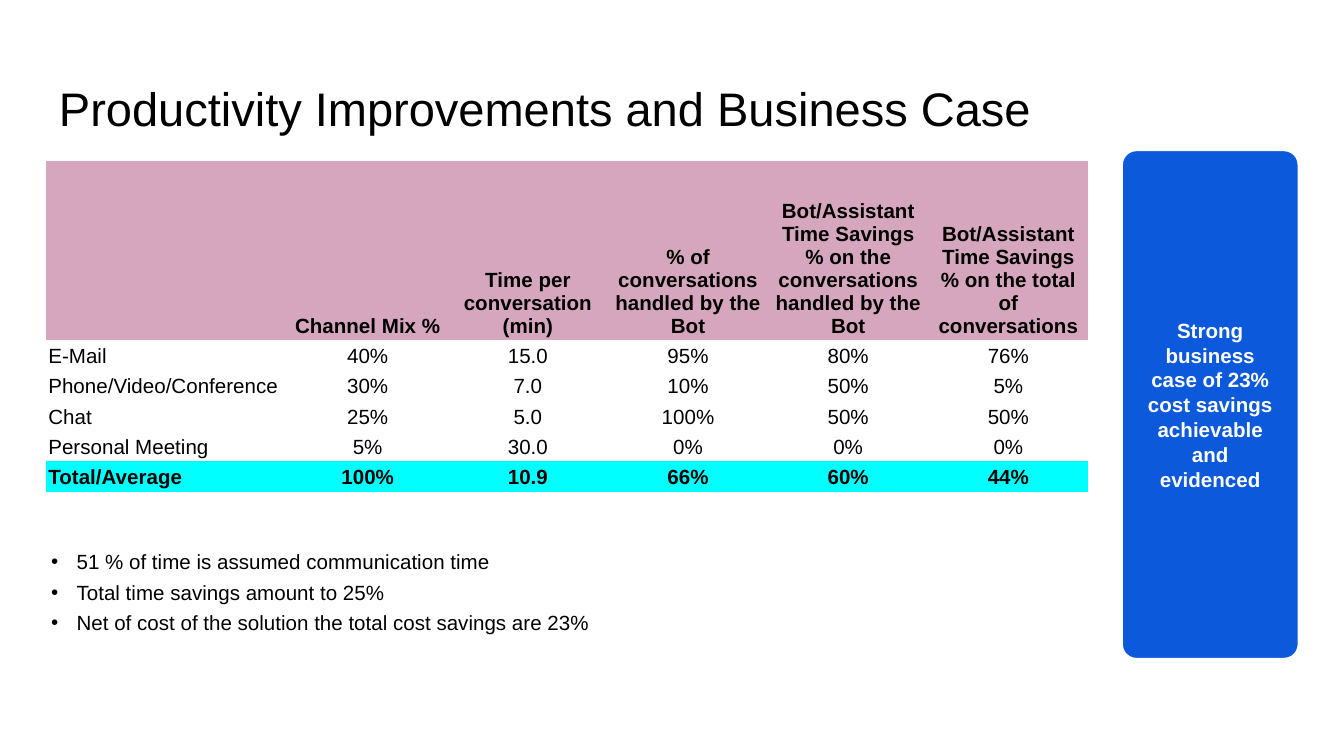
"""Builds a slide with a table of productivity gains and its business case."""

from dataclasses import dataclass

from lxml.etree import SubElement
from pptx import Presentation
from pptx.dml.color import RGBColor
from pptx.enum.shapes import MSO_SHAPE
from pptx.enum.text import MSO_ANCHOR, PP_ALIGN
from pptx.oxml.ns import qn
from pptx.slide import Slide
from pptx.table import _Cell
from pptx.text.text import TextFrame, _Paragraph
from pptx.util import Inches, Pt

COLORS = {
    "ink": "000000",
    "paper": "FFFFFF",
    "header": "D5A6BD",
    "total": "00FFFF",
    "callout": "0C5ADB",
}
FONT = "Arial"
BODY_SIZE = 11
PLAIN_TABLE_STYLE = "{2D5ABB26-0587-4C30-8999-92F81FD0307C}"
SLIDE_WIDTH = 10
SLIDE_HEIGHT = SLIDE_WIDTH * 9 / 16
LEFT, CONTENT_WIDTH = 0.34, 7.76
CALLOUT_LEFT, CALLOUT_WIDTH = 8.35, 1.31
CHANNEL_WIDTH, HEADER_HEIGHT = 1.8, 1.33


@dataclass(frozen=True)
class Box:
    left: float
    top: float
    width: float
    height: float

    def emu(self) -> tuple[int, ...]:
        return tuple(Inches(v) for v in (self.left, self.top, self.width, self.height))


@dataclass(frozen=True)
class Style:
    size: float = BODY_SIZE
    color: str = "ink"
    bold: bool = False
    align: PP_ALIGN = PP_ALIGN.LEFT


@dataclass(frozen=True)
class TableRow:
    texts: tuple[str, ...]
    fill: str | None = None
    bold: bool = False


TITLE = Box(LEFT, 0.49, CALLOUT_LEFT + CALLOUT_WIDTH - LEFT, 0.63)
CALLOUT = Box(CALLOUT_LEFT, 1.12, CALLOUT_WIDTH, 3.78)
SAVINGS = Box(LEFT, 1.2, CONTENT_WIDTH, 2.46)
NOTES = Box(LEFT, 3.91, CONTENT_WIDTH, 0.99)

ROWS = (
    TableRow(
        (
            "",
            "Channel Mix %",
            "Time per conversation (min)",
            "% of conversations handled by the Bot",
            "Bot/Assistant Time Savings % on the conversations handled by the Bot",
            "Bot/Assistant Time Savings % on the total of conversations",
        ),
        "header",
        True,
    ),
    TableRow(("E-Mail", "40%", "15.0", "95%", "80%", "76%")),
    TableRow(("Phone/Video/Conference", "30%", "7.0", "10%", "50%", "5%")),
    TableRow(("Chat", "25%", "5.0", "100%", "50%", "50%")),
    TableRow(("Personal Meeting", "5%", "30.0", "0%", "0%", "0%")),
    TableRow(("Total/Average", "100%", "10.9", "66%", "60%", "44%"), "total", True),
)
ASSUMPTIONS = (
    "51 % of time is assumed communication time",
    "Total time savings amount to 25%",
    "Net of cost of the solution the total cost savings are 23%",
)


def rgb(name: str) -> RGBColor:
    return RGBColor.from_string(COLORS[name])


def write(paragraph: _Paragraph, text: str, style: Style) -> None:
    paragraph.alignment = style.align
    run = paragraph.add_run()
    run.text = text
    run.font.name = FONT
    run.font.size = Pt(style.size)
    run.font.bold = style.bold
    run.font.color.rgb = rgb(style.color)


def set_frame(frame: TextFrame, anchor: MSO_ANCHOR, side: float, edge: float) -> None:
    frame.word_wrap = True
    frame.vertical_anchor = anchor
    frame.margin_left = frame.margin_right = Inches(side)
    frame.margin_top = frame.margin_bottom = Inches(edge)


def add_bullet(paragraph: _Paragraph) -> None:
    properties = paragraph._p.get_or_add_pPr()
    properties.set("marL", str(Inches(0.19)))
    properties.set("indent", str(-Inches(0.19)))
    SubElement(properties, qn("a:buFont"), typeface=FONT)
    SubElement(properties, qn("a:buChar"), char="•")


def add_title(slide: Slide) -> None:
    frame = slide.shapes.add_textbox(*TITLE.emu()).text_frame
    set_frame(frame, MSO_ANCHOR.TOP, 0.1, 0.1)
    heading = "Productivity Improvements and Business Case"
    write(frame.paragraphs[0], heading, Style(size=25.2))


def add_callout(slide: Slide) -> None:
    panel = slide.shapes.add_shape(MSO_SHAPE.ROUNDED_RECTANGLE, *CALLOUT.emu())
    panel.adjustments[0] = 0.08
    panel.shadow.inherit = False
    panel.fill.solid()
    panel.fill.fore_color.rgb = rgb("callout")
    panel.line.color.rgb = rgb("paper")
    panel.line.width = Pt(0.75)
    set_frame(panel.text_frame, MSO_ANCHOR.MIDDLE, 0.14, 0.05)
    message = panel.text_frame.paragraphs[0]
    message.line_spacing = 1.01
    write(
        message,
        "Strong business case of 23% cost savings achievable and evidenced",
        Style(color="paper", bold=True, align=PP_ALIGN.CENTER),
    )


def fill_cell(cell: _Cell, text: str, fill: str | None, style: Style) -> None:
    cell.vertical_anchor = MSO_ANCHOR.BOTTOM
    cell.margin_left = cell.margin_right = Inches(0.02)
    cell.margin_top = cell.margin_bottom = Inches(0.02)
    if fill:
        cell.fill.solid()
        cell.fill.fore_color.rgb = rgb(fill)
    else:
        cell.fill.background()
    if text:
        write(cell.text_frame.paragraphs[0], text, style)


def add_savings_table(slide: Slide) -> None:
    columns = len(ROWS[0].texts)
    table = slide.shapes.add_table(len(ROWS), columns, *SAVINGS.emu()).table
    table.first_row = table.horz_banding = False
    table._tbl.tblPr.find(qn("a:tableStyleId")).text = PLAIN_TABLE_STYLE
    measure_width = (SAVINGS.width - CHANNEL_WIDTH) / (columns - 1)
    channel_height = (SAVINGS.height - HEADER_HEIGHT) / (len(ROWS) - 1)
    for index, column in enumerate(table.columns):
        column.width = Inches(measure_width if index else CHANNEL_WIDTH)
    for index, (line, row) in enumerate(zip(table.rows, ROWS)):
        line.height = Inches(channel_height if index else HEADER_HEIGHT)
        for position, (cell, text) in enumerate(zip(line.cells, row.texts)):
            align = PP_ALIGN.CENTER if position else PP_ALIGN.LEFT
            fill_cell(cell, text, row.fill, Style(bold=row.bold, align=align))


def add_assumptions(slide: Slide) -> None:
    frame = slide.shapes.add_textbox(*NOTES.emu()).text_frame
    set_frame(frame, MSO_ANCHOR.MIDDLE, 0.04, 0.04)
    for index, text in enumerate(ASSUMPTIONS):
        paragraph = frame.add_paragraph() if index else frame.paragraphs[0]
        paragraph.space_before = Pt(3 if index else 0)
        add_bullet(paragraph)
        write(paragraph, text, Style())


def main() -> None:
    deck = Presentation()
    deck.slide_width, deck.slide_height = Inches(SLIDE_WIDTH), Inches(SLIDE_HEIGHT)
    slide = deck.slides.add_slide(deck.slide_layouts[6])
    add_title(slide)
    add_callout(slide)
    add_savings_table(slide)
    add_assumptions(slide)
    deck.save("out.pptx")


if __name__ == "__main__":
    main()
